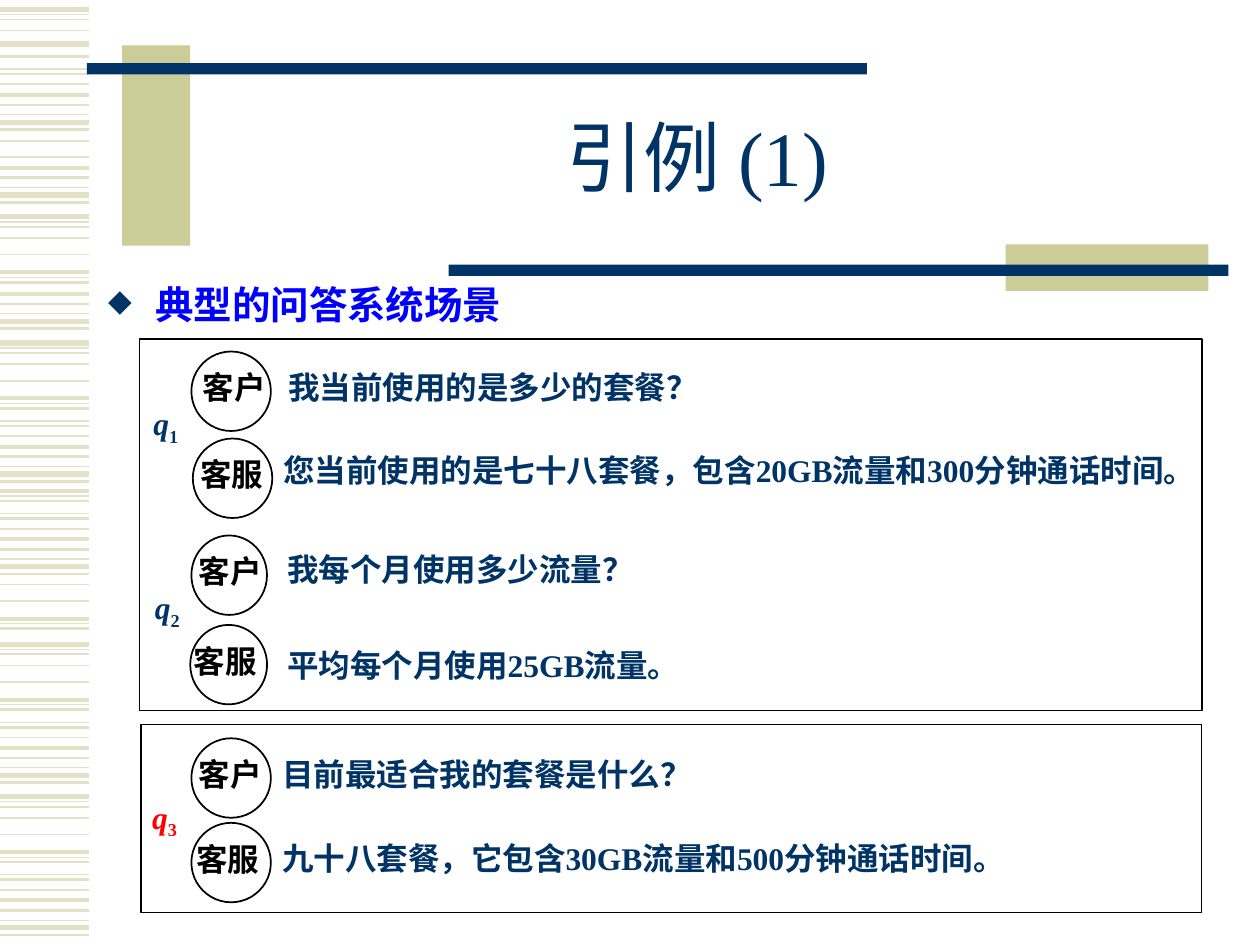
from dataclasses import dataclass

from lxml.etree import SubElement
from pptx import Presentation
from pptx.dml.color import RGBColor
from pptx.enum.shapes import MSO_CONNECTOR, MSO_SHAPE
from pptx.enum.text import MSO_ANCHOR, PP_ALIGN
from pptx.oxml.ns import qn
from pptx.util import Pt

NAVY, KHAKI, PALE = "003366", "CCCC99", "E3E2C7"
BLACK, BLUE, RED = "000000", "0000FF", "FF0000"
LATIN, CHINESE = "Times New Roman", "Noto Sans CJK SC"
STRIPE_LENGTH, TEXT_HEIGHT, CIRCLE_HEIGHT, LABEL_DROP = 51.1, 28.8, 45.4, 6.1

# One stripe pattern: (distance from its top, line width)
PATTERN = [
    (0, 3), (2.9, 0.75), (5.8, 1), (12.2, 1), (21.6, 1), (31.7, 2.25),
    (34.6, 0.75), (37.4, 1.5), (44.6, 0.75), (47.5, 1.5), (53.3, 1),
    (59.3, 2.25), (65, 1.5), (70.6, 0.75), (74.9, 3), (79.2, 1.5),
]
# Each use of the pattern: (top, first stripe, end stripe)
STRIPE_BLOCKS = [
    (455.2, 0, 16), (368.1, 0, 16), (321.8, 3, 8), (248.9, 5, 16),
    (196, 0, 16), (123.9, 0, 8), (108.7, 11, 16), (36.6, 10, 16),
    (59, 4, 5), (-5.1, 7, 16), (5.3, 0, 4), (25.2, 0, 1),
]


@dataclass
class Area:
    left: float
    top: float
    width: float
    height: float = TEXT_HEIGHT

    def lengths(self) -> list:
        return [Pt(v) for v in (self.left, self.top, self.width, self.height)]


@dataclass
class Turn:
    speaker: str
    circle: Area
    label_left: float
    label_width: float
    words: str
    words_area: Area


@dataclass
class Question:
    number: str
    area: Area
    color: str


BARS = [
    (Area(69.8, 25.9, 38.9, 114.5), KHAKI),
    (Area(49.7, 36, 445.7, 6.5), NAVY),
    (Area(574.6, 139.7, 115.9, 26.6), KHAKI),
    (Area(256.3, 151.2, 445.7, 6.5), NAVY),
]
FRAMES = [Area(80.6, 414, 606.2, 107.3), Area(79.9, 193.7, 607, 212.4)]
TURNS = [
    Turn("客户", Area(109.4, 200.9, 45.4, CIRCLE_HEIGHT), 108.7, 59,
         "我当前使用的是多少的套餐？", Area(157.7, 206.6, 266.4)),
    Turn("客服", Area(110.2, 250.6, 45.4, CIRCLE_HEIGHT), 107.3, 67,
         "您当前使用的是七十八套餐，包含20GB流量和300分钟通话时间。",
         Area(154.8, 254.2, 530.6)),
    Turn("客户", Area(109.4, 306, 43.2, CIRCLE_HEIGHT), 106.6, 56.2,
         "我每个月使用多少流量？", Area(157, 311, 254.2)),
    Turn("客服", Area(108.7, 357.1, 43.9, CIRCLE_HEIGHT), 103.7, 64.8,
         "平均每个月使用25GB流量。", Area(157, 365.8, 317.5)),
    Turn("客户", Area(109.4, 421.9, 45.4, CIRCLE_HEIGHT), 106.6, 59,
         "目前最适合我的套餐是什么？", Area(154.1, 427.7, 266.4)),
    Turn("客服", Area(109.4, 470.2, 45.4, CIRCLE_HEIGHT), 105.1, 67,
         "九十八套餐，它包含30GB流量和500分钟通话时间。",
         Area(154.1, 475.9, 412.6)),
]
QUESTIONS = [
    Question("1", Area(80.6, 227.5, 50.4), NAVY),
    Question("2", Area(81.4, 332.6, 47.5), NAVY),
    Question("3", Area(79.9, 452.2, 50.4), RED),
]


def rgb(color: str) -> RGBColor:
    return RGBColor.from_string(color)


def add_stripe(page, top: float, width: float) -> None:
    stripe = page.shapes.add_connector(
        MSO_CONNECTOR.STRAIGHT, 0, Pt(top), Pt(STRIPE_LENGTH), Pt(top))
    stripe.line.color.rgb = rgb(PALE)
    stripe.line.width = Pt(width)
    SubElement(stripe._element.spPr, qn("a:effectLst"))


def add_bar(page, area: Area, color: str) -> None:
    bar = page.shapes.add_shape(MSO_SHAPE.RECTANGLE, *area.lengths())
    bar.shadow.inherit = False
    bar.fill.solid()
    bar.fill.fore_color.rgb = rgb(color)
    bar.line.fill.background()


def add_outline(page, kind: MSO_SHAPE, area: Area, width: float) -> None:
    outline = page.shapes.add_shape(kind, *area.lengths())
    outline.shadow.inherit = False
    outline.fill.background()
    outline.line.color.rgb = rgb(BLACK)
    outline.line.width = Pt(width)


def add_text(page, text: str, area: Area, color: str, size: float = 18,
             bold: bool = True, font: str = LATIN):
    box = page.shapes.add_textbox(*area.lengths())
    box.text_frame.word_wrap = True
    para = box.text_frame.paragraphs[0]
    para.font.name = font
    para.font.size = Pt(size)
    para.font.bold = bold
    para.font.color.rgb = rgb(color)
    span = para.add_run()
    span.text = text
    SubElement(span._r.get_or_add_rPr(), qn("a:ea"), typeface=CHINESE)
    return box


def add_title(page) -> None:
    box = add_text(page, "引例 (1)", Area(108, 48.2, 581, 90), NAVY, 44, False)
    box.text_frame.vertical_anchor = MSO_ANCHOR.MIDDLE
    para = box.text_frame.paragraphs[0]
    para.alignment = PP_ALIGN.CENTER
    para.line_spacing = 0.85


def add_heading(page) -> None:
    box = add_text(page, "典型的问答系统场景", Area(54.7, 157, 600.5, 414), BLUE, 22)
    properties = box.text_frame.paragraphs[0]._p.get_or_add_pPr()
    properties.set("marL", str(Pt(27)))
    properties.set("indent", str(Pt(-27)))
    # Bullet parts stand before the default run properties
    bullet_color = properties.makeelement(qn("a:buClr"))
    SubElement(bullet_color, qn("a:srgbClr"), val=NAVY)
    bullet_size = properties.makeelement(qn("a:buSzPct"), val="80000")
    bullet = properties.makeelement(qn("a:buChar"), char="◆")
    for position, part in enumerate((bullet_color, bullet_size, bullet)):
        properties.insert(position, part)


def add_turn(page, turn: Turn) -> None:
    add_outline(page, MSO_SHAPE.OVAL, turn.circle, 1)
    label_area = Area(turn.label_left, turn.circle.top + LABEL_DROP, turn.label_width)
    add_text(page, turn.speaker, label_area, BLACK, font=CHINESE)
    add_text(page, turn.words, turn.words_area, NAVY)


def add_question(page, question: Question) -> None:
    box = add_text(page, "q", question.area, question.color)
    para = box.text_frame.paragraphs[0]
    para.runs[0].font.italic = True
    number = para.add_run()
    number.text = question.number
    number.font._element.set("baseline", "-25000")


def main() -> None:
    deck = Presentation()
    deck.slide_width, deck.slide_height = Pt(720), Pt(540)
    page = deck.slides.add_slide(deck.slide_layouts[6])

    # Striped margin and bars
    for top, first, end in STRIPE_BLOCKS:
        for distance, width in PATTERN[first:end]:
            add_stripe(page, top + distance, width)
    for area, color in BARS:
        add_bar(page, area, color)

    # Title, heading and dialogue
    for area in FRAMES:
        add_outline(page, MSO_SHAPE.RECTANGLE, area, 0.75)
    add_title(page)
    add_heading(page)
    for turn in TURNS:
        add_turn(page, turn)
    for question in QUESTIONS:
        add_question(page, question)

    deck.save("out.pptx")


if __name__ == "__main__":
    main()
